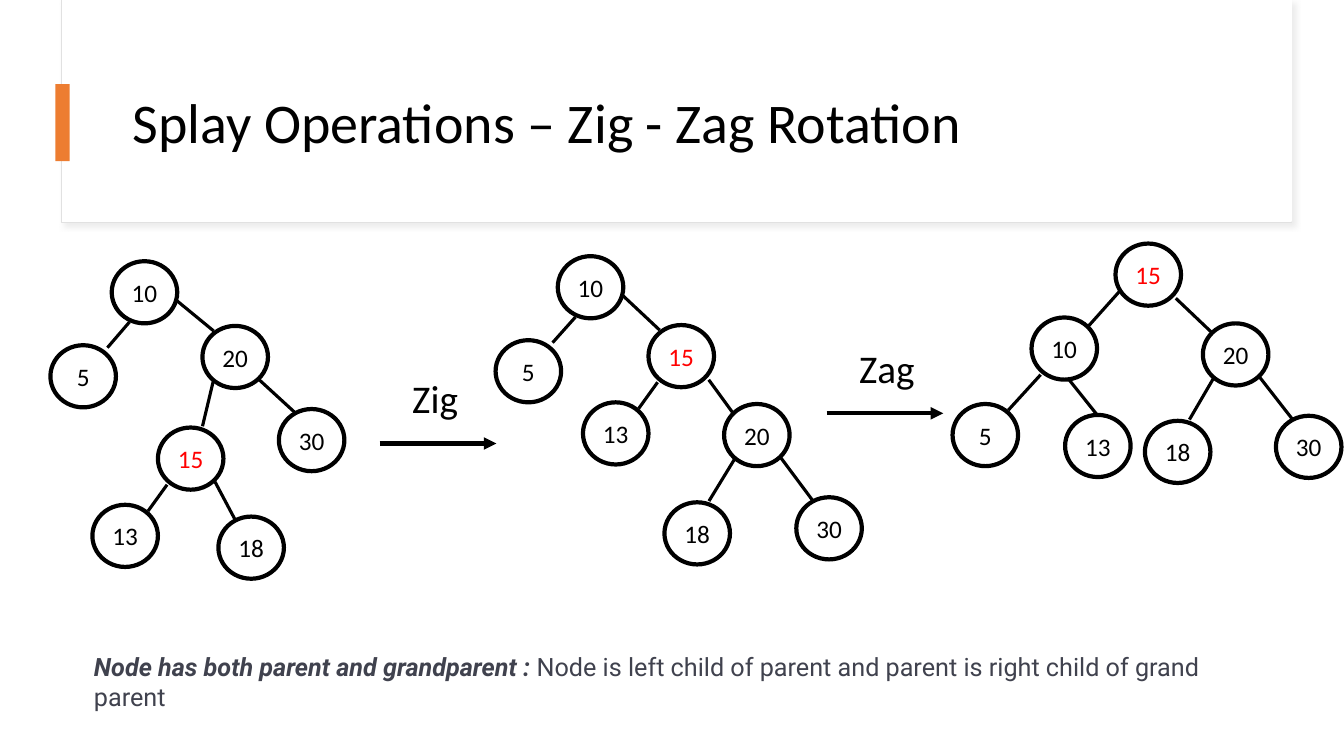
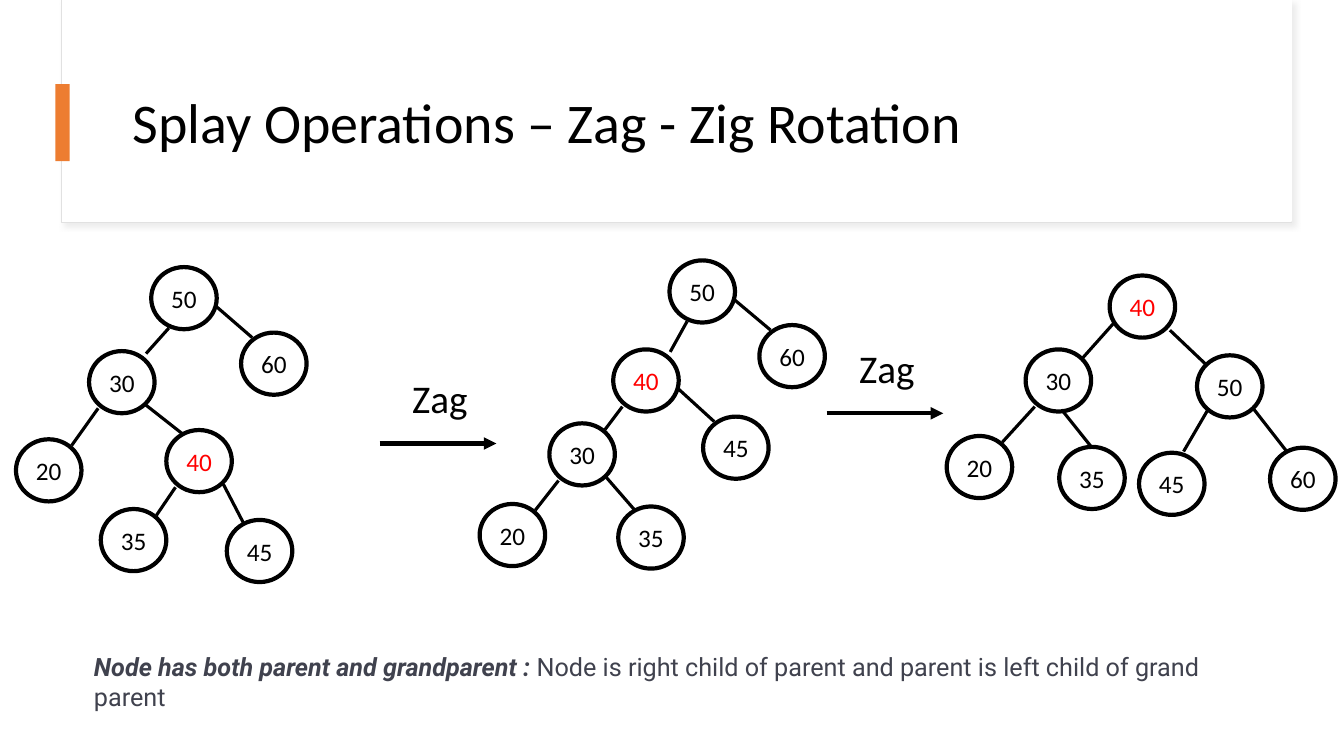
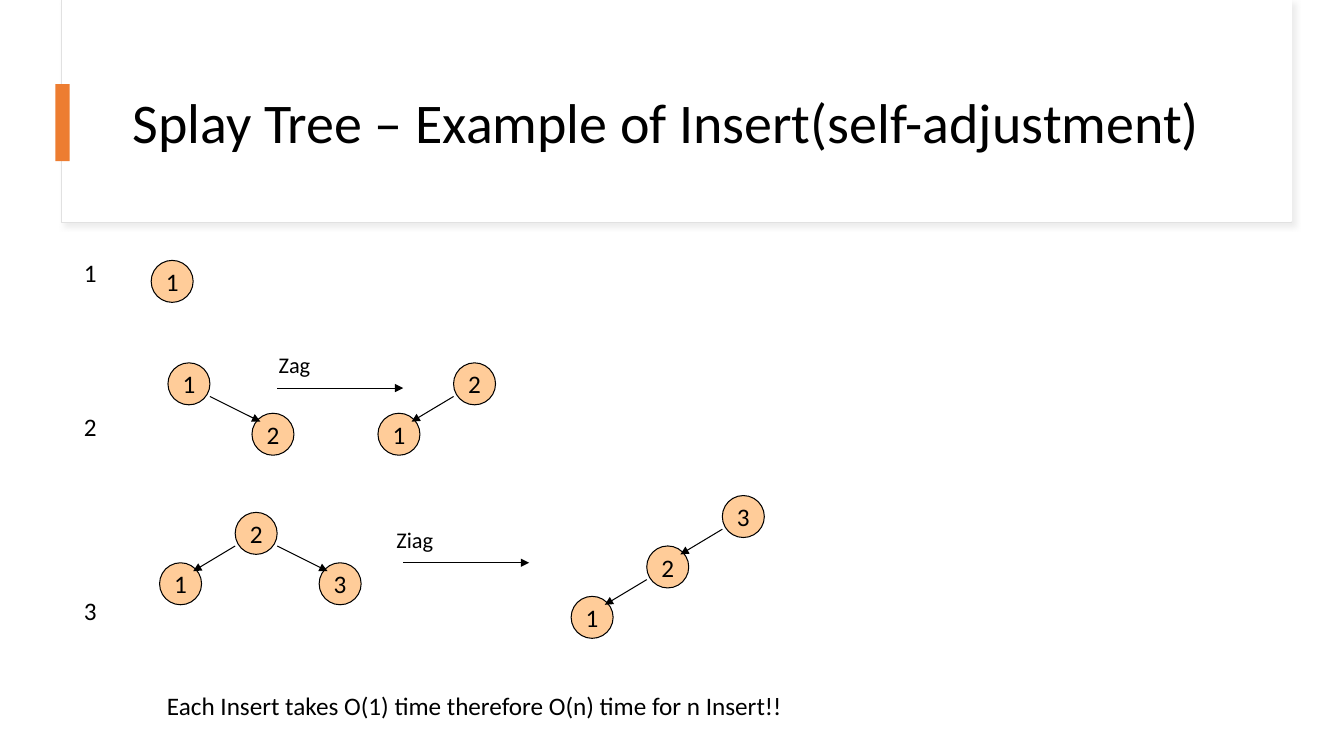
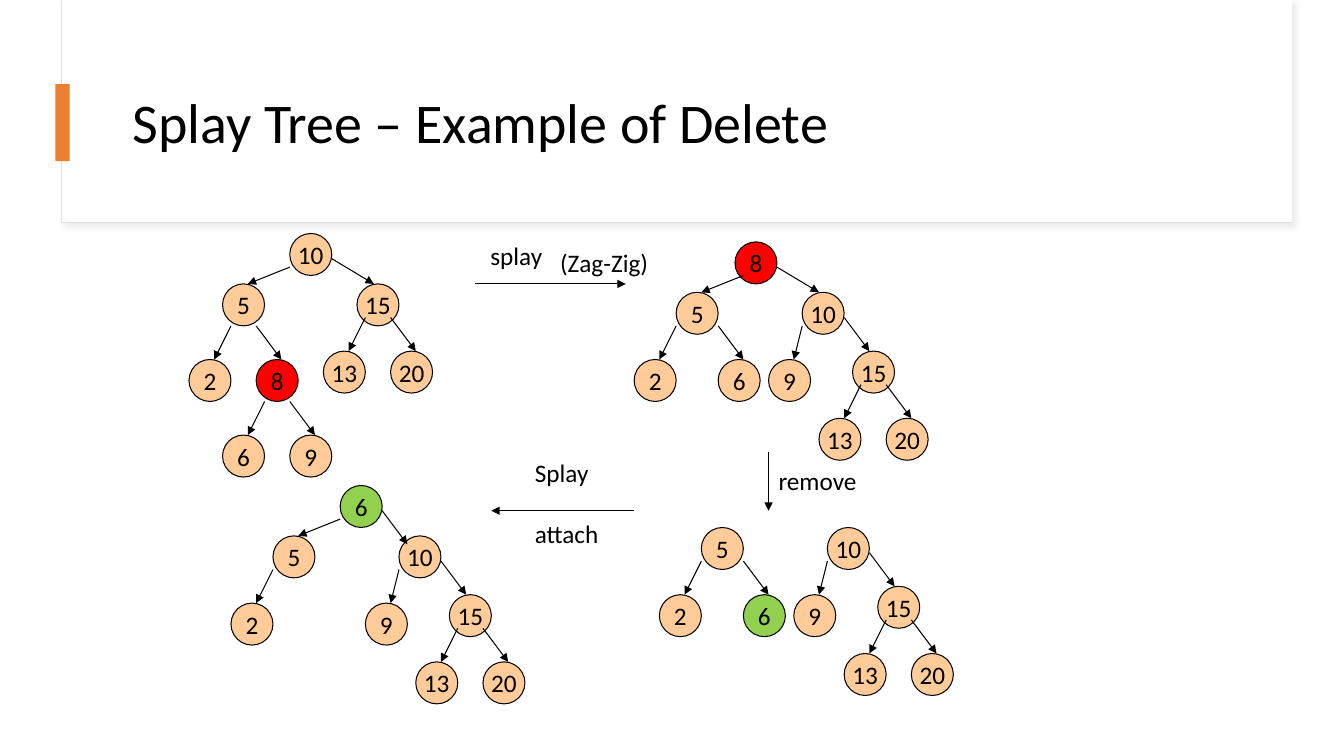
from dataclasses import dataclass

from lxml.etree import SubElement
from pptx import Presentation
from pptx.dml.color import RGBColor
from pptx.enum.shapes import MSO_CONNECTOR as Connector, MSO_SHAPE as Preset
from pptx.enum.text import MSO_ANCHOR as Anchor, PP_ALIGN as Align
from pptx.oxml.ns import qn
from pptx.util import Inches, Pt

COLUMNS, ROWS = 160, 90  # square cells, twelve to the inch
BLACK, WHITE, RED, GREEN = "000000", "FFFFFF", "FF0000", "92D050"
ORANGE, PEACH, SLATE = "ED7D31", "FFCC99", "40424E"
BORDER, SHADOW = "E1E1E1", "D9D9D9"


@dataclass
class NodeStyle:
    """Look of a tree; links map a name to (leave, enter) as shares of a node."""
    width: float
    height: float
    fill: str
    node_line: float
    link_line: float
    arrows: bool
    links: dict


ROTATION = NodeStyle(7.8, 7.4, WHITE, 3, 2.25, False, {
    "left": ((0.14, 0.92), (0.85, 0.1)),
    "low left": ((0.27, 0.98), (0.87, 0.04)),
    "high left": ((0.06, 0.77), (0.86, 0.15)),
    "steep left": ((0.17, 0.87), (0.68, -0.02)),
    "right": ((0.87, 0.87), (0.27, 0.08)),
    "wide right": ((0.92, 0.88), (0.14, 0.15)),
    "far right": ((1, 0.64), (0.17, 0.08)),
    "steep right": ((0.55, 0.97), (0.49, 0)),
})

EXAMPLE = NodeStyle(5, 5, PEACH, 0.75, 0.75, True, {
    "left": ((0, 0.8), (0.6, 0)),
    "right": ((1, 0.8), (0.6, 0)),
    "inner left": ((0.2, 0.8), (0.6, 0)),
    "inner right": ((0.8, 0.8), (0.6, 0)),
    "low left": ((0.2, 1), (0.6, 0)),
    "low right": ((0.8, 1), (0.6, 0)),
    "high right": ((1, 0.6), (0.4, 0)),
    "attached right": ((1, 0.6), (0.2, 0.2)),
    "insert left": ((0, 0.8), (0.8, 0.2)),
    "insert right": ((1, 0.8), (0.2, 0.2)),
})


def cells(count):
    return Inches(count / 12)


def rgb(hex_colour):
    return RGBColor.from_string(hex_colour)


def add_run(paragraph, text, size, colour=BLACK, font="Calibri", strong=False):
    run = paragraph.add_run()
    run.text = text
    run.font.name, run.font.size = font, Pt(size)
    run.font.color.rgb = rgb(colour)
    run.font.bold = run.font.italic = strong


def add_textbox(slide, x, y, width, height):
    frame = slide.shapes.add_textbox(*map(cells, (x, y, width, height))).text_frame
    frame.word_wrap = True
    return frame


def add_label(slide, x, y, width, text, size=18):
    frame = add_textbox(slide, x, y, width, size / 4)
    add_run(frame.paragraphs[0], text, size)


def add_stack(slide, x, y, width, lines):
    """Lines of one text box, each with the space above it in points."""
    frame = add_textbox(slide, x, y, width, 12)
    for index, (text, space) in enumerate(lines):
        paragraph = frame.add_paragraph() if index else frame.paragraphs[0]
        paragraph.space_before = Pt(space)
        add_run(paragraph, text, 18)


def add_shape(slide, preset, x, y, width, height, fill, line=None, weight=0.75):
    shape = slide.shapes.add_shape(preset, *map(cells, (x, y, width, height)))
    shape.shadow.inherit = False
    shape.fill.solid()
    shape.fill.fore_color.rgb = rgb(fill)
    if line:
        shape.line.color.rgb = rgb(line)
        shape.line.width = Pt(weight)
    else:
        shape.line.fill.background()
    return shape


def add_line(slide, start, end, weight, arrow=False):
    line = slide.shapes.add_connector(
        Connector.STRAIGHT, *map(cells, (*start, *end)))
    line.line.color.rgb = rgb(BLACK)
    line.line.width = Pt(weight)
    properties = line.element.spPr
    if arrow:
        SubElement(properties.find(qn("a:ln")), qn("a:tailEnd"), type="triangle")
    SubElement(properties, qn("a:effectLst"))


def cast_shadow(shape):
    effects = shape.element.spPr.find(qn("a:effectLst"))
    outer = SubElement(effects, qn("a:outerShdw"), blurRad=str(Pt(4)),
                       dist=str(Pt(3)), dir=str(45 * 60000), algn="tl")
    colour = SubElement(outer, qn("a:srgbClr"), val=SHADOW)
    SubElement(colour, qn("a:alpha"), val="50000")


def add_slide(deck, title):
    """A blank slide with the framed title band."""
    slide = deck.slides.add_slide(deck.slide_layouts[6])
    cast_shadow(add_shape(slide, Preset.RECTANGLE, 7.3, 0, 146.5, 26.5, WHITE, BORDER))
    add_shape(slide, Preset.RECTANGLE, 7.4, 0, 146.4, 26.4, WHITE)
    heading = add_textbox(slide, 14.6, 7.2, 133.4, 15.5)
    heading.vertical_anchor = Anchor.MIDDLE
    heading.paragraphs[0].line_spacing = 0.9
    add_run(heading.paragraphs[0], title, 40)
    add_shape(slide, Preset.RECTANGLE, 6.6, 10, 1.7, 9.2, ORANGE)
    return slide


def add_node(slide, style, x, y, value, fill, ink):
    node = add_shape(slide, Preset.OVAL, x, y, style.width, style.height,
                     fill, BLACK, style.node_line)
    frame = node.text_frame
    frame.word_wrap = False
    frame.vertical_anchor = Anchor.MIDDLE
    frame.margin_left = frame.margin_right = 0
    frame.margin_top = frame.margin_bottom = 0
    frame.paragraphs[0].alignment = Align.CENTER
    add_run(frame.paragraphs[0], str(value), 18, ink)


def add_tree(slide, style, x, y, root, children=(), fills=None, inks=None):
    """Children are (value, dx, dy, parent, link), offset from the root."""
    fills, inks = fills or {}, inks or {}
    places = {root: (x, y)}
    for value, dx, dy, _, _ in children:
        places[value] = (x + dx, y + dy)
    for value, place in places.items():
        add_node(slide, style, *place, value,
                 fills.get(value, style.fill), inks.get(value, BLACK))

    def port(value, share):
        left, top = places[value]
        return left + share[0] * style.width, top + share[1] * style.height

    for value, _, _, parent, link in children:
        leave, enter = style.links[link]
        add_line(slide, port(parent, leave), port(value, enter),
                 style.link_line, style.arrows)


def balanced(root, left, right, leaves, right_link):
    """Children of the full tree in which both rotations end."""
    a, b, c, d = leaves
    return [(left, -10, 8.8, root, "high left"), (right, 10.4, 9.5, root, right_link),
            (a, -19.4, 19.1, left, "left"), (b, -6, 20.4, left, "steep right"),
            (c, 3.5, 21.1, right, "steep left"), (d, 19.1, 20.5, right, "right")]


def branch_of_10(dx=0, dy=0):
    """Children of node 10 when that node is offset by dx, dy."""
    return [(15, dx + 6, dy + 7, 10, "high right"), (9, dx - 4, dy + 8, 10, "left"),
            (13, dx + 2, dy + 15, 15, "inner left"),
            (20, dx + 10, dy + 15, 15, "inner right")]


def rotation_slide(deck, title, steps, rule, trees, splayed):
    slide = add_slide(deck, title)
    for step, x, y in zip(steps, (45.2, 98.4), (52.8, 49.2)):
        add_line(slide, (x, y), (x + 13.9, y), 3, arrow=True)
        add_label(slide, x + 2.7, y - 8.8, 11, step, 28)
    note = add_textbox(slide, 10, 76.9, 140, 4.8).paragraphs[0]
    add_run(note, "Node has both parent and grandparent : ", 18, SLATE, "Roboto", True)
    add_run(note, rule, 18, SLATE, "Roboto")
    for x, y, root, children in trees:
        add_tree(slide, ROTATION, x, y, root, children, inks={splayed: RED})


def zig_zag_slide(deck):
    before = [(5, -7.3, 10, 10, "low left"), (20, 10.8, 7.7, 10, "far right"),
              (15, 5.5, 19.8, 20, "steep left"), (30, 19.9, 17.6, 20, "right"),
              (13, -2.3, 29, 15, "left"), (18, 12.7, 30.4, 15, "right")]
    between = [(5, -7.4, 10, 10, "low left"), (15, 10.8, 8.2, 10, "far right"),
               (13, 3, 17.4, 15, "left"), (20, 19.8, 17.6, 15, "wide right"),
               (18, 12.7, 29.3, 20, "steep left"), (30, 28.4, 28.7, 20, "right")]
    after = balanced(15, 10, 20, (5, 13, 18, 30), "wide right")
    rotation_slide(
        deck, "Splay Operations – Zig - Zag Rotation", ("Zig", "Zag"),
        "Node is left child of parent and parent is right child of grand parent",
        [(13.3, 31.1, 10, before), (66.4, 30.5, 10, between), (132.8, 29, 15, after)], 15)


def zag_zig_slide(deck):
    before = [(30, -7.4, 10, 50, "low left"), (60, 10.7, 7.8, 50, "far right"),
              (20, -16.1, 20.5, 30, "left"), (40, 1.8, 19.4, 30, "right"),
              (35, -6, 28.8, 40, "left"), (45, 9, 30.1, 40, "right")]
    between = [(40, -6.7, 10.6, 50, "low left"), (60, 10.7, 7.7, 50, "far right"),
               (30, -14.3, 19.4, 40, "left"), (45, 4, 18.6, 40, "far right"),
               (20, -22.6, 29, 30, "left"), (35, -6.1, 29.3, 30, "right")]
    after = balanced(40, 30, 50, (20, 35, 45, 60), "wide right")
    rotation_slide(
        deck, "Splay Operations – Zag - Zig Rotation", ("Zag", "Zag"),
        "Node is right child of parent and parent is left child of grand parent",
        [(18, 31.8, 50, before), (79.7, 31, 50, between), (132.1, 32.8, 40, after)], 40)


def insert_slide(deck):
    slide = add_slide(deck, "Splay Tree – Example of Insert(self-adjustment)")
    trees = [
        (18, 31, 1, []),
        (20, 43.2, 1, [(2, 10, 6, 1, "insert right")]),
        (54, 43.2, 2, [(1, -9, 6, 2, "insert left")]),
        (28, 61, 2, [(1, -9, 6, 2, "insert left"), (3, 10, 6, 2, "insert right")]),
        (86, 59, 3, [(2, -9, 6, 3, "insert left"), (1, -18, 12, 2, "insert left")]),
    ]
    for x, y, root, children in trees:
        add_tree(slide, EXAMPLE, x, y, root, children)
    for step, label_x, label_y, x, y in (("Zag", 32, 41.2, 33, 46.2),
                                         ("Ziag", 46, 62, 48, 67)):
        add_label(slide, label_x, label_y, 9, step, 16)
        add_line(slide, (x, y), (x + 15, y), 0.75, arrow=True)
    add_stack(slide, 8.8, 30.1, 5, [("1", 0), ("2", 88), ("3", 110)])
    add_label(slide, 18.7, 81.6, 90.5,
              "Each Insert takes O(1) time therefore O(n) time for n Insert!!")


def delete_slide(deck):
    slide = add_slide(deck, "Splay Tree – Example of Delete")
    start = [(5, -8, 6, 10, "left"), (15, 8, 6, 10, "high right"),
             (2, -12, 15, 5, "low left"), (8, -4, 15, 5, "low right"),
             (13, 4, 14, 15, "inner left"), (20, 12, 14, 15, "inner right"),
             (6, -8, 24, 8, "low left"), (9, 0, 24, 8, "low right")]
    splayed = [(5, -7, 6, 8, "inner left"), (10, 8, 6, 8, "high right"),
               (2, -12, 14, 5, "left"), (6, -2, 14, 5, "right"), *branch_of_10(8, 6)]
    remaining = [(2, -5, 8, 5, "left"), (6, 5, 8, 5, "right")]
    attached = [(5, -8, 6, 6, "left"), (10, 7, 6, 6, "attached right"),
                (2, -13, 14, 5, "left"), *branch_of_10(7, 6)]
    for x, y, root, children in [
            (34.5, 27.8, 10, start), (87.5, 28.8, 8, splayed),
            (83.5, 62.8, 5, remaining), (98.5, 62.8, 10, branch_of_10()),
            (40.5, 57.8, 6, attached)]:
        marked = {8: RED} if children in (start, splayed) else {6: GREEN}
        add_tree(slide, EXAMPLE, x, y, root, children, fills=marked)
    for begin, end in [((56.5, 33.8), (74.5, 33.8)), ((91.5, 53.8), (91.5, 60.8)),
                       ((75.5, 60.8), (58.5, 60.8))]:
        add_line(slide, begin, end, 0.75, arrow=True)
    add_label(slide, 57.2, 28, 10.2, "splay")
    add_label(slide, 65.5, 28.8, 16, "(Zag-Zig)")
    add_label(slide, 91.5, 54.8, 13.6, "remove")
    add_stack(slide, 62.5, 53.8, 12, [("Splay", 0), ("attach", 22)])


def main():
    deck = Presentation()
    deck.slide_width, deck.slide_height = cells(COLUMNS), cells(ROWS)
    zig_zag_slide(deck)
    zag_zig_slide(deck)
    insert_slide(deck)
    delete_slide(deck)
    deck.save("out.pptx")


if __name__ == "__main__":
    main()
